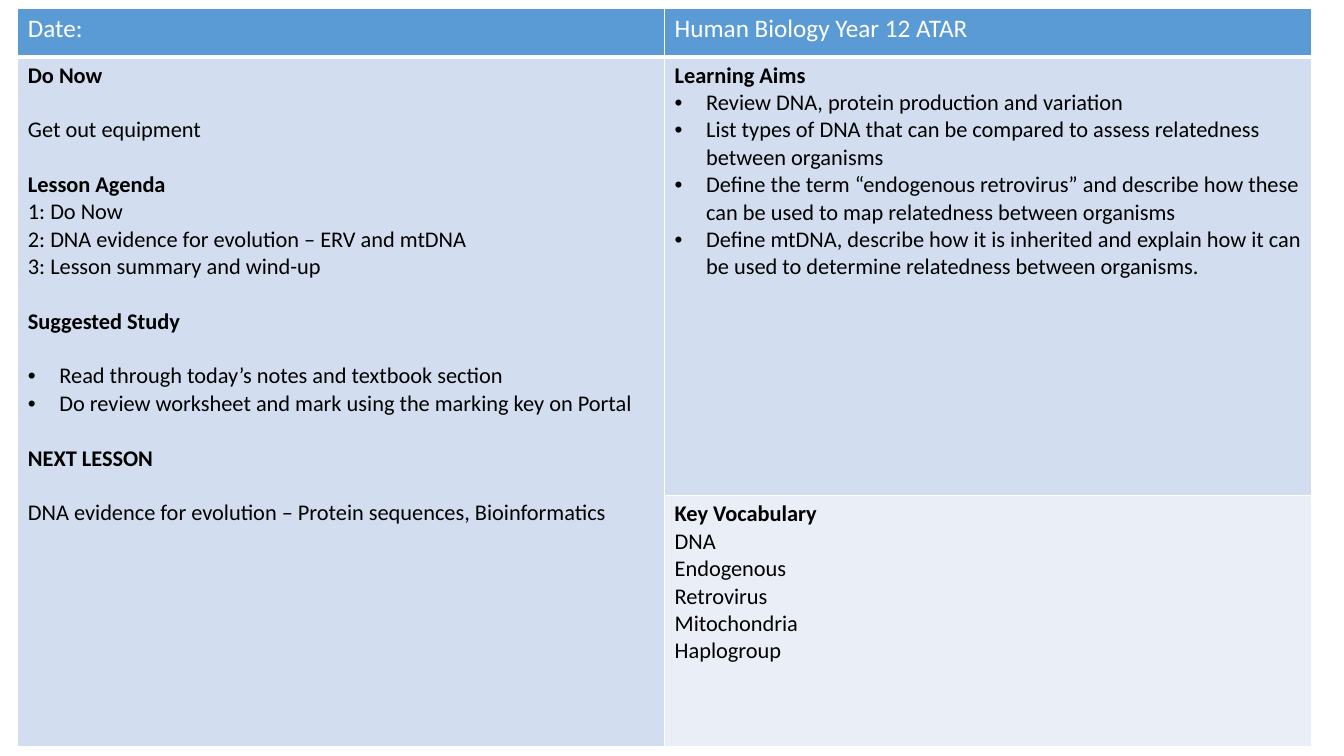
from dataclasses import dataclass

from lxml.etree import SubElement as Sub
from pptx import Presentation
from pptx.dml.color import RGBColor as Rgb
from pptx.oxml.ns import qn
from pptx.table import _Cell as Cell
from pptx.util import Emu, Pt

PX = 9525
WHITE = Rgb(0xFF, 0xFF, 0xFF)
BLACK = Rgb(0, 0, 0)
BLUE = Rgb(0x5B, 0x9B, 0xD5)
PALE = Rgb(0xD2, 0xDE, 0xEF)
MIST = Rgb(0xEA, 0xEF, 0xF7)

COLS = (616, 616)
ROWS = (46, 418, 239)
INDENT = 30
GAP = Pt(19.5)
HEAD = {"name": "Calibri", "size": Pt(18), "bold": False}
BODY = {"name": "Calibri", "size": Pt(16), "bold": False}
BOLD = BODY | {"bold": True}


@dataclass(frozen=True)
class Line:
    text: str
    style: dict
    gap: bool = False
    bullet: bool = False


@dataclass(frozen=True)
class Panel:
    row: int
    col: int
    fill: Rgb
    ink: Rgb
    lines: tuple[Line, ...]
    base: int = 1


PLAN = (
    Line("Do Now", BOLD),
    Line("Get out equipment", BODY, gap=True),
    Line("Lesson Agenda", BOLD, gap=True),
    Line("1: Do Now", BODY),
    Line("2: DNA evidence for evolution – ERV and mtDNA", BODY),
    Line("3: Lesson summary and wind-up", BODY),
    Line("Suggested Study", BOLD, gap=True),
    Line("Read through today’s notes and textbook section", BODY, gap=True, bullet=True),
    Line("Do review worksheet and mark using the marking key on Portal", BODY, bullet=True),
    Line("NEXT LESSON", BOLD, gap=True),
    Line("DNA evidence for evolution – Protein sequences, Bioinformatics", BODY, gap=True),
)
AIMS = (
    "Review DNA, protein production and variation",
    "List types of DNA that can be compared to assess relatedness between organisms",
    "Define the term “endogenous retrovirus” and describe how these can be used to map "
    "relatedness between organisms",
    "Define mtDNA, describe how it is inherited and explain how it can be used to "
    "determine relatedness between organisms.",
)
WORDS = ("DNA", "Endogenous", "Retrovirus", "Mitochondria", "Haplogroup")

PANELS = (
    Panel(0, 0, BLUE, WHITE, (Line("Date:", HEAD),), base=3),
    Panel(0, 1, BLUE, WHITE, (Line("Human Biology Year 12 ATAR", HEAD),), base=3),
    Panel(1, 0, PALE, BLACK, PLAN),
    Panel(1, 1, PALE, BLACK,
          (Line("Learning Aims", BOLD), *(Line(aim, BODY, bullet=True) for aim in AIMS))),
    Panel(2, 0, PALE, BLACK, ()),
    Panel(2, 1, MIST, BLACK,
          (Line("Key Vocabulary", BOLD), *(Line(word, BODY) for word in WORDS))),
)


def px(size: int) -> Emu:
    return Emu(size * PX)


def edge(cell: Cell, base: int) -> None:
    props = cell._tc.get_or_add_tcPr()
    for side, width in {"L": 1, "R": 1, "T": 1, "B": base}.items():
        line = Sub(props, qn(f"a:ln{side}"), w=str(Pt(width)))
        Sub(Sub(line, qn("a:solidFill")), qn("a:srgbClr"), val=str(WHITE))


def write(cell: Cell, lines: tuple[Line, ...], ink: Rgb) -> None:
    frame = cell.text_frame
    for index, line in enumerate(lines):
        para = frame.add_paragraph() if index else frame.paragraphs[0]
        if line.gap:
            para.space_before = GAP
        if line.bullet:
            props = para._p.get_or_add_pPr()
            props.set("marL", str(px(INDENT)))
            props.set("indent", str(-px(INDENT)))
            Sub(props, qn("a:buFont"), typeface="Arial")
            Sub(props, qn("a:buChar"), char="•")
        run = para.add_run()
        run.text = line.text
        for key, value in line.style.items():
            setattr(run.font, key, value)
        run.font.color.rgb = ink


def draw(cell: Cell, panel: Panel) -> None:
    edge(cell, panel.base)
    cell.fill.solid()
    cell.fill.fore_color.rgb = panel.fill
    write(cell, panel.lines, panel.ink)


def main() -> None:
    deck = Presentation()
    deck.slide_width, deck.slide_height = px(1280), px(720)
    slide = deck.slides.add_slide(deck.slide_layouts[6])
    table = slide.shapes.add_table(
        len(ROWS), len(COLS), px(17), px(8), px(sum(COLS)), px(sum(ROWS))
    ).table
    table.horz_banding = False
    for col, width in zip(table.columns, COLS):
        col.width = px(width)
    for row, height in zip(table.rows, ROWS):
        row.height = px(height)
    for panel in PANELS:
        draw(table.cell(panel.row, panel.col), panel)
    table.cell(1, 0).merge(table.cell(2, 0))
    deck.save("out.pptx")


if __name__ == "__main__":
    main()
